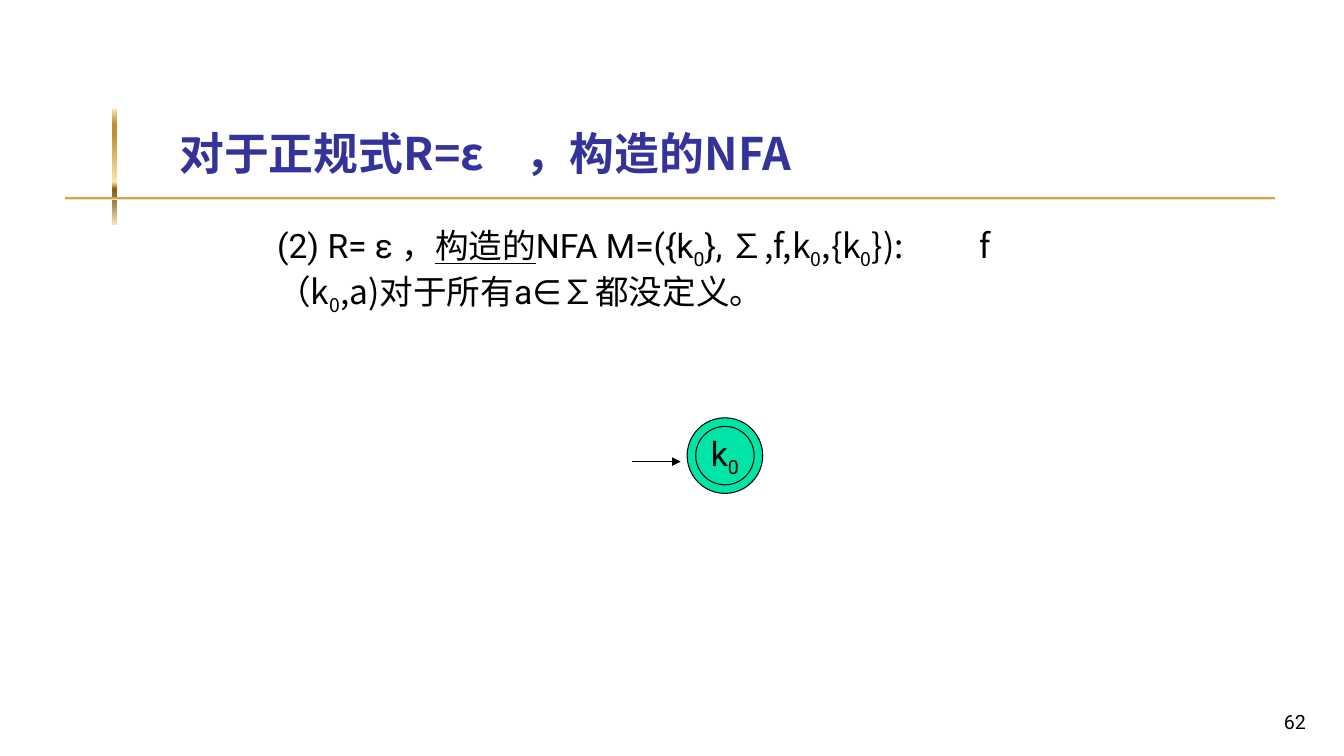
from dataclasses import dataclass

import pptx
import pptx.dml.color
import pptx.enum.dml
import pptx.enum.shapes
import pptx.enum.text
import pptx.oxml.ns
import pptx.util
from lxml import etree

Inches = pptx.util.Inches
RGBColor = pptx.dml.color.RGBColor
Shape = pptx.enum.shapes.MSO_SHAPE
Align = pptx.enum.text.PP_ALIGN
Anchor = pptx.enum.text.MSO_ANCHOR
qn = pptx.oxml.ns.qn

BLACK = RGBColor(0x00, 0x00, 0x00)
TITLE_BLUE = RGBColor(0x33, 0x33, 0x99)
STATE_GREEN = RGBColor(0x00, 0xE4, 0xA8)
PALE_GOLD = RGBColor(0xFB, 0xE4, 0xAE)
GOLD = RGBColor(0xBD, 0x92, 0x2A)
BROWN = RGBColor(0x83, 0x5E, 0x17)
DULL_GOLD = RGBColor(0xA2, 0x89, 0x49)
LIGHT_GOLD = RGBColor(0xFA, 0xE3, 0xB7)
GOLD_STOPS = [(0, PALE_GOLD), (13, GOLD), (21, GOLD), (63, PALE_GOLD),
              (67, GOLD), (69, BROWN), (82, DULL_GOLD), (100, LIGHT_GOLD)]

ROBOTO = "Roboto"
CJK_SC = "Noto Sans CJK SC"
CJK_JP = "Noto Sans CJK JP"


@dataclass
class Frame:
    left: float
    top: float
    width: float
    height: float

    def lengths(self) -> tuple:
        return tuple(Inches(v) for v in (self.left, self.top, self.width, self.height))


@dataclass
class Span:
    text: str
    font: str = ROBOTO
    lowered: bool = False
    underline: bool = False


def add_tab_stop(para, position: float) -> None:
    stops = etree.SubElement(para._p.get_or_add_pPr(), qn("a:tabLst"))
    etree.SubElement(stops, qn("a:tab"), pos=str(Inches(position)), algn="l")


def write_spans(box, spans: list[Span], *, size: float, color: RGBColor = BLACK,
                bold: bool = False, align=Align.LEFT, anchor=Anchor.TOP,
                wrap: bool = True, tab: float | None = None) -> None:
    frame = box.text_frame
    frame.word_wrap = wrap
    frame.vertical_anchor = anchor
    para = frame.paragraphs[0]
    para.alignment = align
    if tab is not None:
        add_tab_stop(para, tab)
    for span in spans:
        run = para.add_run()
        run.text = span.text
        run.font.size = pptx.util.Pt(size)
        run.font.bold = bold
        run.font.name = span.font
        run.font.color.rgb = color
        if span.underline:
            run.font.underline = True
        properties = run._r.get_or_add_rPr()
        if span.lowered:
            properties.set("baseline", "-25000")
        east_asian = CJK_SC if span.font == ROBOTO else span.font
        etree.SubElement(properties, qn("a:ea"), typeface=east_asian)


def add_text(page, frame: Frame, spans: list[Span], **text_format):
    box = page.shapes.add_textbox(*frame.lengths())
    write_spans(box, spans, **text_format)
    return box


def add_gold_bar(page, frame: Frame) -> None:
    bar = page.shapes.add_shape(Shape.RECTANGLE, *frame.lengths())
    bar.shadow.inherit = False
    bar.line.fill.background()
    bar.fill.gradient()
    bar.fill.gradient_angle = 270
    stops = bar._element.spPr.find(".//" + qn("a:gsLst"))
    for stop in list(stops):
        stops.remove(stop)
    for percent, color in GOLD_STOPS:
        stop = etree.SubElement(stops, qn("a:gs"), pos=str(percent * 1000))
        etree.SubElement(stop, qn("a:srgbClr"), val=str(color))


def add_circle(page, center_x: float, center_y: float, diameter: float):
    frame = Frame(center_x - diameter / 2, center_y - diameter / 2, diameter, diameter)
    circle = page.shapes.add_shape(Shape.OVAL, *frame.lengths())
    circle.shadow.inherit = False
    circle.fill.solid()
    circle.fill.fore_color.rgb = STATE_GREEN
    circle.line.color.rgb = BLACK
    circle.line.width = pptx.util.Pt(0.75)
    return circle


def add_arrow(page, start_x: float, end_x: float, y: float) -> None:
    arrow = page.shapes.add_connector(
        pptx.enum.shapes.MSO_CONNECTOR.STRAIGHT,
        Inches(start_x), Inches(y), Inches(end_x), Inches(y))
    arrow.line.color.rgb = BLACK
    arrow.line.width = pptx.util.Pt(0.75)
    etree.SubElement(arrow.line._get_or_add_ln(), qn("a:tailEnd"), type="triangle")
    etree.SubElement(arrow._element.spPr, qn("a:effectLst"))


def main() -> None:
    deck = pptx.Presentation()
    deck.slide_width = Inches(13.33)
    deck.slide_height = Inches(7.5)
    page = deck.slides.add_slide(deck.slide_layouts[6])

    # Crossed gold bars
    add_gold_bar(page, Frame(1.11, 1.08, 0.05, 1.15))
    add_gold_bar(page, Frame(0.65, 1.95, 12, 0.03))

    # Title and page number
    add_text(page, Frame(1.68, 0.23, 11.36, 1.6),
             [Span("对于正规式R=ε\t，构造的NFA", CJK_JP)],
             size=32, color=TITLE_BLUE, bold=True, anchor=Anchor.BOTTOM, tab=3.43)
    add_text(page, Frame(10.27, 6.83, 2.78, 0.5), [Span("62")],
             size=14, align=Align.RIGHT, anchor=Anchor.BOTTOM)

    # Accepting state with its entry arrow
    add_circle(page, 7.19, 4.52, 0.75)
    state = add_circle(page, 7.19, 4.52, 0.58)
    write_spans(state, [Span("k"), Span("0", lowered=True)], size=24,
                align=Align.CENTER, anchor=Anchor.MIDDLE, wrap=False)
    add_arrow(page, 6.27, 6.75, 4.58)

    # Definition of the automaton
    zero = Span("0", CJK_SC, lowered=True)
    definition = add_text(page, Frame(2.65, 2.18, 8.19, 0.91), [
        Span("(2) R= ε ，"),
        Span("构造的", underline=True),
        Span("NFA M=({k"),
        Span("0", lowered=True),
        Span("}, "),
        Span("∑,f,k", CJK_SC),
        zero,
        Span(",{k", CJK_SC),
        zero,
        Span("}):\tf（k", CJK_SC),
        zero,
        Span(",a)对于", CJK_SC),
        Span("所有a∈"),
        Span("∑都没定义。", CJK_SC),
    ], size=24, tab=6.97)
    definition.text_frame.auto_size = pptx.enum.text.MSO_AUTO_SIZE.SHAPE_TO_FIT_TEXT

    deck.save("out.pptx")


if __name__ == "__main__":
    main()
